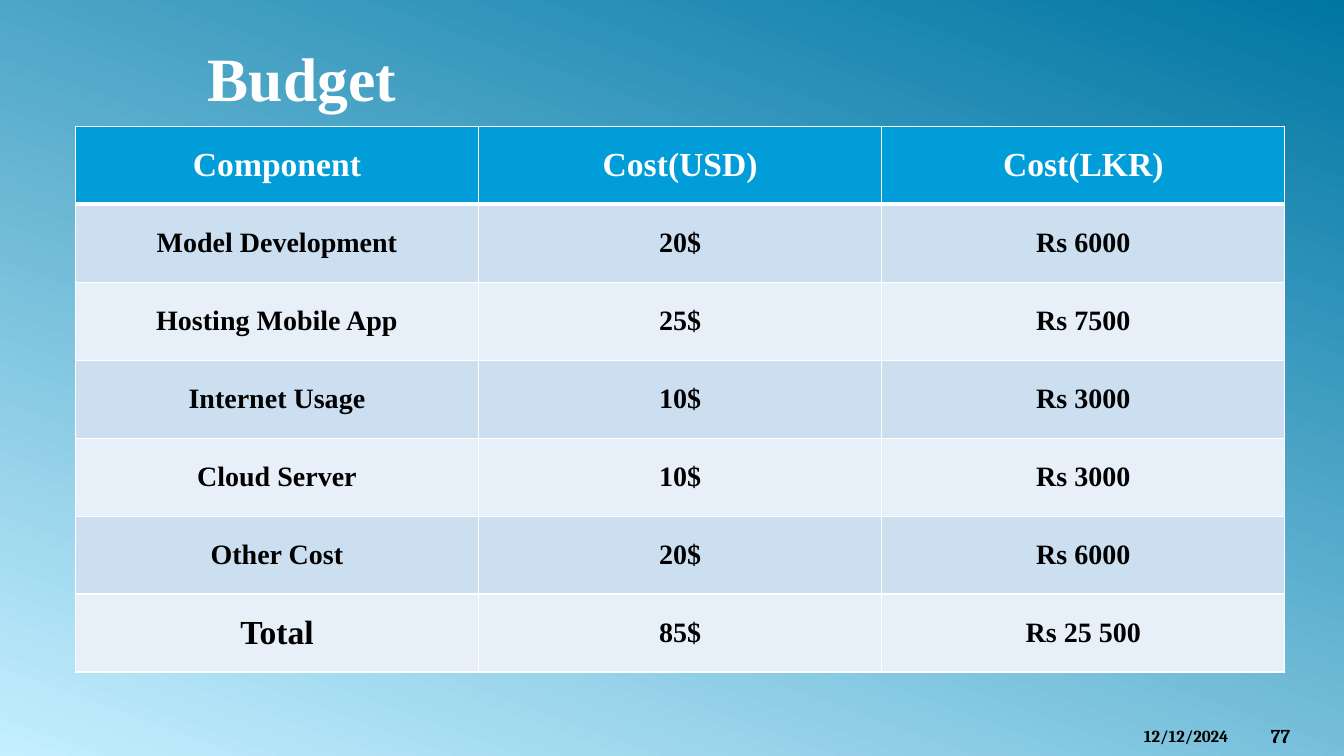
from lxml import etree
from pptx import Presentation
from pptx.dml.color import RGBColor
from pptx.enum import text
from pptx.oxml import ns
from pptx.util import Cm, Pt

DEEP_BLUE = RGBColor(0x00, 0x76, 0xA3)
PALE_BLUE = RGBColor(0xC4, 0xEF, 0xFF)
HEADER_BLUE = RGBColor(0x00, 0x9D, 0xD9)
BAND_DARK = RGBColor(0xCC, 0xDF, 0xF1)
BAND_LIGHT = RGBColor(0xE7, 0xEF, 0xF8)
WHITE = RGBColor(0xFF, 0xFF, 0xFF)
BLACK = RGBColor(0x00, 0x00, 0x00)

BODY_FONT = "Times New Roman"
FOOTER_FONT = "Cambria"

BUDGET_ROWS = [
    ("Component", "Cost(USD)", "Cost(LKR)"),
    ("Model Development", "20$", "Rs 6000"),
    ("Hosting Mobile App", "25$", "Rs 7500"),
    ("Internet Usage", "10$", "Rs 3000"),
    ("Cloud Server", "10$", "Rs 3000"),
    ("Other Cost", "20$", "Rs 6000"),
    ("Total", "85$", "Rs 25 500"),
]


def write_span(frame, words, size, color, font=BODY_FONT, align=text.PP_ALIGN.CENTER):
    para = frame.paragraphs[0]
    para.alignment = align
    span = para.add_run()
    span.text = words
    span.font.name = font
    span.font.size = Pt(size)
    span.font.bold = True
    span.font.color.rgb = color


def paint_background(page):
    fill = page.background.fill
    fill.gradient()
    fill.gradient_angle = 250
    for stop, color, position in zip(fill.gradient_stops, (DEEP_BLUE, PALE_BLUE), (0, 1)):
        stop.color.rgb = color
        stop.position = position


def place_title(page, left, top, width, height):
    title = page.shapes.title
    title.left, title.top, title.width, title.height = left, top, width, height
    title.text_frame.vertical_anchor = text.MSO_ANCHOR.MIDDLE
    write_span(title.text_frame, "Budget", 44, WHITE)


def draw_border(cell, side, points):
    properties = cell._tc.get_or_add_tcPr()
    line = etree.SubElement(properties, ns.qn(f"a:ln{side}"), w=str(Pt(points)))
    fill = etree.SubElement(line, ns.qn("a:solidFill"))
    etree.SubElement(fill, ns.qn("a:srgbClr"), val=str(WHITE))


def place_budget_table(page, left, top, width, height):
    row_count, column_count = len(BUDGET_ROWS), len(BUDGET_ROWS[0])
    table = page.shapes.add_table(row_count, column_count, left, top, width, height).table
    for row_index, entries in enumerate(BUDGET_ROWS):
        is_header = row_index == 0
        band = HEADER_BLUE if is_header else (BAND_LIGHT, BAND_DARK)[row_index % 2]
        for column_index, words in enumerate(entries):
            cell = table.cell(row_index, column_index)
            cell.vertical_anchor = text.MSO_ANCHOR.MIDDLE
            for side in "LRTB":
                meets_header = (row_index, side) in ((0, "B"), (1, "T"))
                draw_border(cell, side, 3 if meets_header else 1)
            cell.fill.solid()
            cell.fill.fore_color.rgb = band
            size = 24 if is_header or words == "Total" else 20
            write_span(cell.text_frame, words, size, WHITE if is_header else BLACK)


def place_footer(page, words, size, anchor, left, top, width, height):
    box = page.shapes.add_textbox(left, top, width, height)
    box.text_frame.word_wrap = True
    box.text_frame.vertical_anchor = anchor
    write_span(box.text_frame, words, size, BLACK, FOOTER_FONT, text.PP_ALIGN.LEFT)


def main():
    deck = Presentation()
    deck.slide_width, deck.slide_height = Cm(33.87), Cm(19.05)
    page = deck.slides.add_slide(deck.slide_layouts[5])
    paint_background(page)
    place_footer(page, "77", 14, text.MSO_ANCHOR.MIDDLE,
                 Cm(31.78), Cm(18.03), Cm(1.88), Cm(1.02))
    place_footer(page, "12/12/2024", 12, text.MSO_ANCHOR.TOP,
                 Cm(28.58), Cm(18.16), Cm(2.97), Cm(0.76))
    place_title(page, Cm(0.84), Cm(0.84), Cm(13.54), Cm(2.21))
    place_budget_table(page, Cm(1.9), Cm(3.18), Cm(30.48), Cm(13.76))
    deck.save("out.pptx")


if __name__ == "__main__":
    main()
